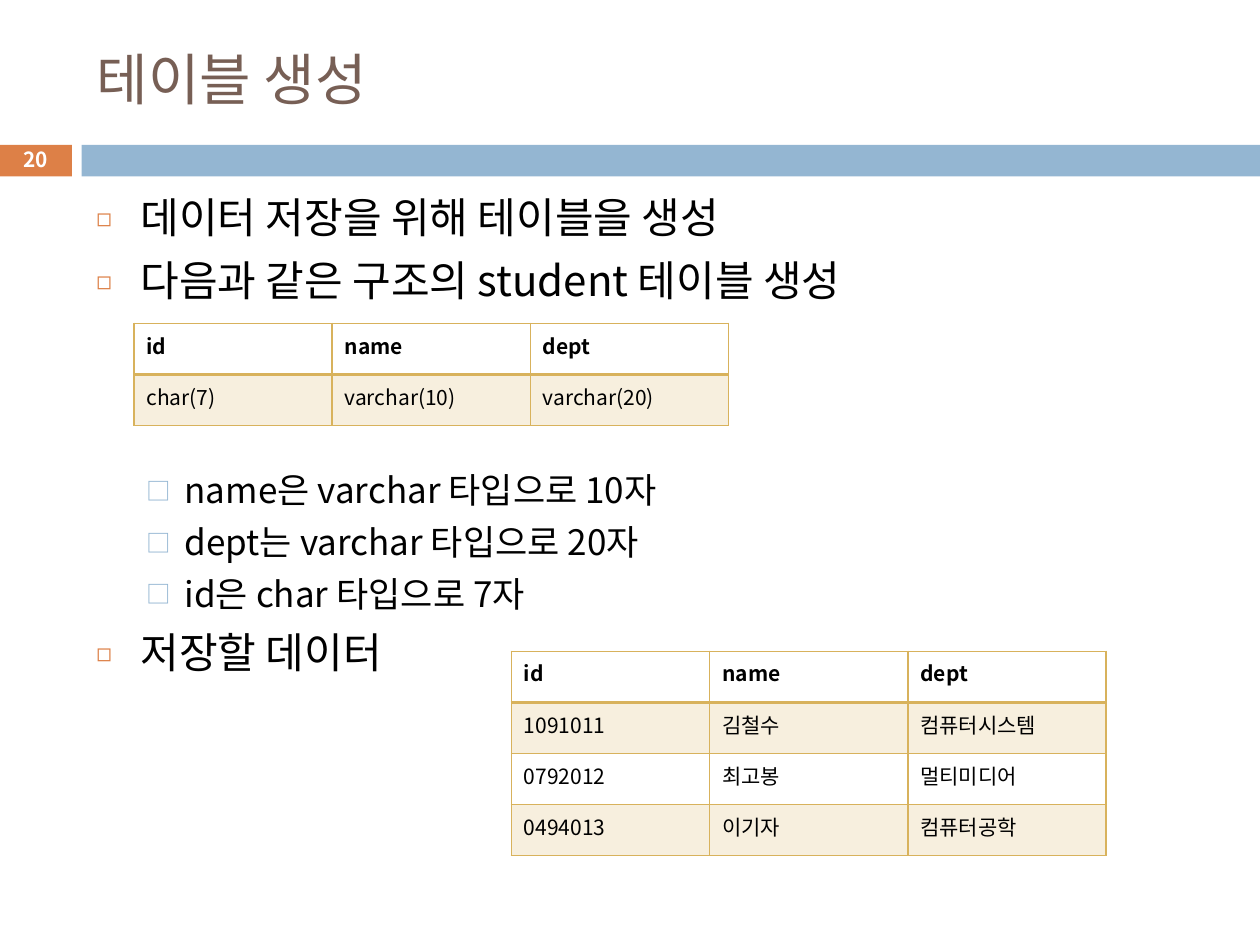
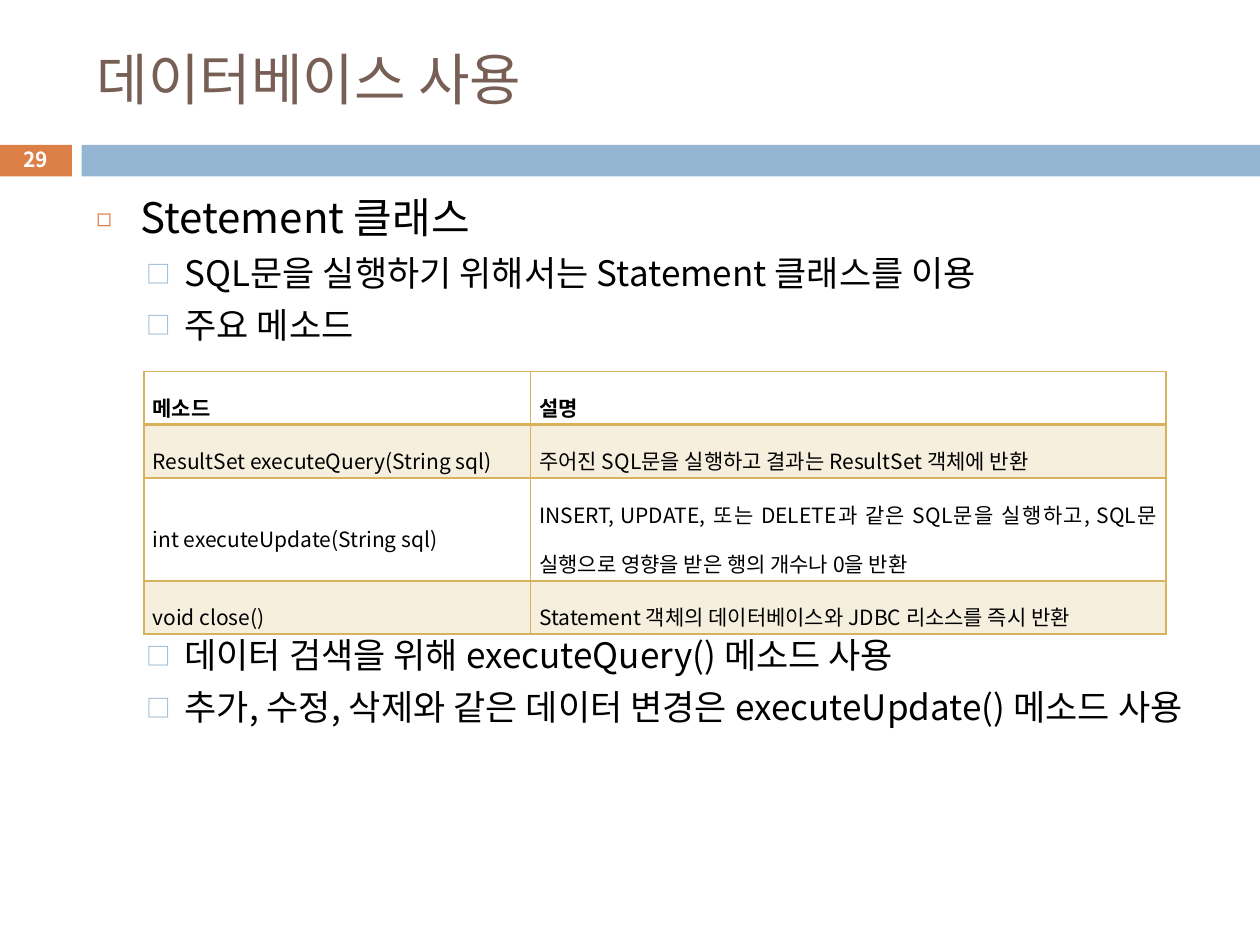
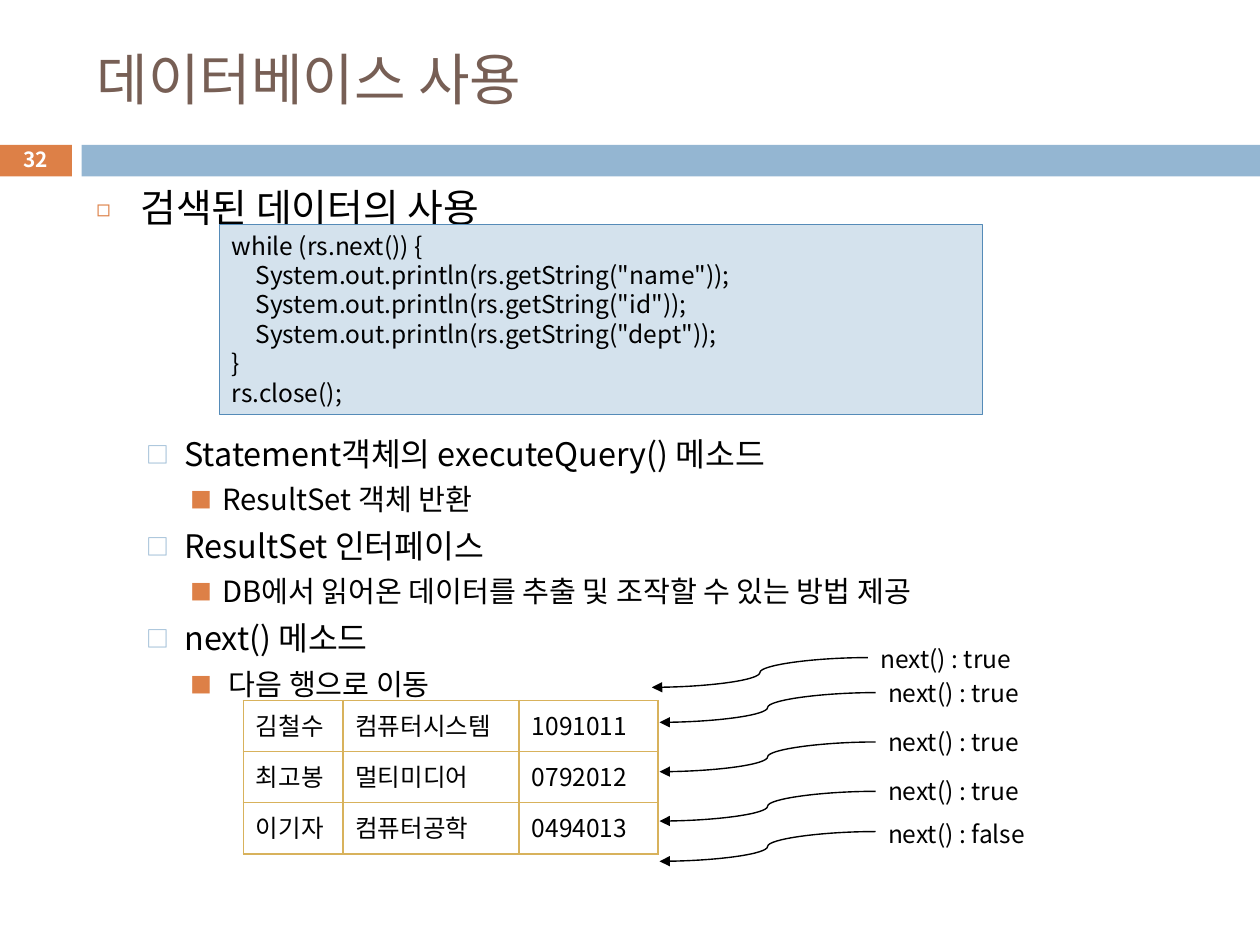
"""Build three lecture slides on creating and querying a database table."""
from dataclasses import dataclass

from lxml import etree
from pptx import Presentation
from pptx.dml.color import RGBColor
from pptx.enum.shapes import MSO_CONNECTOR, MSO_SHAPE
from pptx.enum.text import MSO_ANCHOR, MSO_AUTO_SIZE, PP_ALIGN
from pptx.oxml.ns import qn
from pptx.util import Pt

CURVE = MSO_CONNECTOR.CURVE
RECTANGLE = MSO_SHAPE.RECTANGLE
TOP, MIDDLE = MSO_ANCHOR.TOP, MSO_ANCHOR.MIDDLE
NO_AUTOFIT = MSO_AUTO_SIZE.NONE
LEFT, CENTER, JUSTIFY = PP_ALIGN.LEFT, PP_ALIGN.CENTER, PP_ALIGN.JUSTIFY
TITLE_ONLY = 5


@dataclass(frozen=True)
class Level:
    """Look of one outline level."""
    size: float
    margin: float
    hanging: float
    before: float
    bullet: str
    bullet_color: str
    bullet_percent: int


@dataclass(frozen=True)
class Theme:
    """Colours, font and type sizes of the deck."""
    font: str = "Noto Sans CJK KR"
    ink: str = "000000"
    white: str = "FFFFFF"
    brown: str = "775F55"
    orange: str = "DD8047"
    blue: str = "94B6D2"
    gold: str = "D8B25C"
    code_fill: str = "D4E2ED"
    code_line: str = "558BB8"
    title_size: float = 32
    number_size: float = 11.9
    table_size: float = 12
    code_size: float = 14
    line_factor: float = 1.2
    levels: tuple = (
        Level(24, 25.2, 25.2, 7, "◻", orange, 60),
        Level(20, 50.4, 21.6, 5.5, "□", blue, 70),
        Level(18, 72, 18, 5, "■", orange, 75),
    )


def points(*lengths):
    """Turn numbers into point lengths."""
    return [Pt(length) for length in lengths]


def add_xml(parent, tag, **attributes):
    """Append a drawing element and return it."""
    values = {key: str(value) for key, value in attributes.items()}
    return etree.SubElement(parent, qn(tag), values)


class Deck:
    """Holds the theme, the presentation and the current slide."""

    def __init__(self, theme):
        """Start an empty 10 by 7.5 inch presentation."""
        self.theme = theme
        self.presentation = Presentation()
        self.presentation.slide_width, self.presentation.slide_height = points(720, 540)
        self.slide = None

    def run(self, paragraph, text, size, color=None, bold=False):
        """Add one formatted run."""
        run = paragraph.add_run()
        run.text = text
        run.font.size = Pt(size)
        run.font.bold = bold
        run.font.color.rgb = RGBColor.from_string(color or self.theme.ink)
        run.font.name = self.theme.font
        add_xml(run.font._element, "a:ea", typeface=self.theme.font)

    def rectangle(self, box, fill, line=None):
        """Add a flat rectangle."""
        shape = self.slide.shapes.add_shape(RECTANGLE, *points(*box))
        shape.shadow.inherit = False
        shape.fill.solid()
        shape.fill.fore_color.rgb = RGBColor.from_string(fill)
        if line:
            shape.line.color.rgb = RGBColor.from_string(line)
            shape.line.width = Pt(0.75)
        else:
            shape.line.fill.background()
        return shape

    def text_frame(self, box, anchor=TOP):
        """Add a wrapping text box and return its frame."""
        frame = self.slide.shapes.add_textbox(*points(*box)).text_frame
        frame.word_wrap = True
        frame.vertical_anchor = anchor
        return frame

    def paragraphs(self, frame, count):
        """Return the given number of paragraphs of a new frame."""
        return [frame.paragraphs[0]] + [frame.add_paragraph() for _ in range(count - 1)]

    def page(self, title, number):
        """Start a slide with its title, bands and page number."""
        theme = self.theme
        self.slide = self.presentation.slides.add_slide(
            self.presentation.slide_layouts[TITLE_ONLY])
        self.rectangle((-0.7, 82.8, 41.8, 18), theme.orange)
        self.rectangle((46.6, 82.8, 673.4, 18), theme.blue)
        heading = self.slide.shapes.title
        heading.left, heading.top, heading.width, heading.height = points(48, 18, 642, 53.5)
        heading.text_frame.auto_size = NO_AUTOFIT
        heading.text_frame.vertical_anchor = MIDDLE
        paragraph = heading.text_frame.paragraphs[0]
        paragraph.alignment = LEFT
        self.run(paragraph, title, theme.title_size, theme.brown)
        paragraph = self.text_frame((-0.7, 81.4, 41.8, 19.4), MIDDLE).paragraphs[0]
        paragraph.alignment = CENTER
        self.run(paragraph, str(number), theme.number_size, theme.white, True)

    def outline(self, box, items, scale=1):
        """Add bulleted items given as level, text and optional space before."""
        frame = self.text_frame(box)
        for paragraph, (depth, text, *gap) in zip(
                self.paragraphs(frame, len(items)), items):
            level = self.theme.levels[depth]
            size = round(level.size * scale, 1)
            paragraph.level = depth
            paragraph.line_spacing = Pt(size * self.theme.line_factor)
            paragraph.space_before = Pt(gap[0] if gap else level.before)
            properties = paragraph._p.get_or_add_pPr()
            properties.set("marL", str(Pt(level.margin)))
            properties.set("indent", str(-Pt(level.hanging)))
            color = add_xml(properties, "a:buClr")
            add_xml(color, "a:srgbClr", val=level.bullet_color)
            add_xml(properties, "a:buSzPct", val=level.bullet_percent * 1000)
            add_xml(properties, "a:buFont", typeface=self.theme.font)
            add_xml(properties, "a:buChar", char=level.bullet)
            self.run(paragraph, text, size)

    def border(self, cell, heavy_edge):
        """Draw gold cell borders with one optional heavy edge."""
        properties = cell._tc.get_or_add_tcPr()
        for place, edge in enumerate(("L", "R", "T", "B")):
            width = Pt(2 if edge == heavy_edge else 1)
            line = add_xml(properties, f"a:ln{edge}", w=width)
            add_xml(add_xml(line, "a:solidFill"), "a:srgbClr", val=self.theme.gold)
            properties.insert(place, line)

    def table(self, origin, widths, heights, rows, header=True, size=None, spacing=None):
        """Add a gold ruled table, banded below a bold header."""
        theme = self.theme
        frame = self.slide.shapes.add_table(
            len(rows), len(widths), *points(*origin, sum(widths), sum(heights)))
        table = frame.table
        table.first_row = header
        table.horz_banding = False
        for column, width in zip(table.columns, widths):
            column.width = Pt(width)
        for row, height in zip(table.rows, heights):
            row.height = Pt(height)
        for row_index, row in enumerate(rows):
            for column_index, text in enumerate(row):
                cell = table.cell(row_index, column_index)
                paragraph = cell.text_frame.paragraphs[0]
                if spacing:
                    paragraph.alignment = JUSTIFY
                    paragraph.line_spacing = spacing
                    cell.vertical_anchor = MIDDLE
                    cell.margin_left, cell.margin_right = points(5, 5)
                    cell.margin_top, cell.margin_bottom = points(1.4, 1.4)
                self.run(paragraph, text, size or theme.table_size,
                         bold=header and row_index == 0)
                if header and row_index % 2:
                    cell.fill.solid()
                    cell.fill.fore_color.rgb = RGBColor.from_string(theme.gold)
                    color = cell._tc.tcPr.find(f"{qn('a:solidFill')}/{qn('a:srgbClr')}")
                    add_xml(color, "a:alpha", val=20000)
                else:
                    cell.fill.background()
                self.border(cell, {0: "B", 1: "T"}.get(row_index) if header else None)

    def code(self, box, lines):
        """Add a code panel from pairs of indent depth and text."""
        theme = self.theme
        frame = self.rectangle(box, theme.code_fill, theme.code_line).text_frame
        frame.word_wrap = True
        frame.vertical_anchor = TOP
        for paragraph, (depth, text) in zip(self.paragraphs(frame, len(lines)), lines):
            paragraph.alignment = LEFT
            paragraph.line_spacing = Pt(theme.code_size * theme.line_factor)
            paragraph._p.get_or_add_pPr().set("marL", str(Pt(13.7 * depth)))
            self.run(paragraph, text, theme.code_size)

    def pointer(self, left, arrow_top, label_top, text):
        """Add a label with a curved arrow leading from it to the left."""
        theme = self.theme
        arrow = self.slide.shapes.add_connector(
            CURVE, *points(left, arrow_top, left - 123.5, arrow_top + 17))
        arrow.line.color.rgb = RGBColor.from_string(theme.ink)
        arrow.line.width = Pt(0.79)
        add_xml(arrow.get_or_add_ln(), "a:tailEnd", type="triangle")
        add_xml(arrow._element.spPr, "a:effectLst")
        paragraph = self.text_frame((left, label_top, 97, 24.2)).paragraphs[0]
        paragraph.line_spacing = Pt(theme.code_size * theme.line_factor)
        self.run(paragraph, text, theme.code_size)


def table_creation(deck):
    """Slide on the student table and its data."""
    deck.page("테이블 생성", 20)
    deck.outline((48, 105.8, 642, 396.7), [
        (0, "데이터 저장을 위해 테이블을 생성"),
        (0, "다음과 같은 구조의 student 테이블 생성"),
        (1, "name은 varchar 타입으로 10자", 94),
        (1, "dept는 varchar 타입으로 20자"),
        (1, "id은 char 타입으로 7자"),
        (0, "저장할 데이터"),
    ])
    fields = ("id", "name", "dept")
    students = [
        fields,
        ("1091011", "김철수", "컴퓨터시스템"),
        ("0792012", "최고봉", "멀티미디어"),
        ("0494013", "이기자", "컴퓨터공학"),
    ]
    structure = [fields, ("char(7)", "varchar(10)", "varchar(20)")]
    for origin, rows in (((292.2, 372.2), students), ((76.5, 184.8), structure)):
        deck.table(origin, [113.3] * 3, [29.2] * len(rows), rows)


def statement_class(deck):
    """Slide on the Statement class and its methods."""
    deck.page("데이터베이스 사용", 29)
    deck.outline((48, 105.8, 642, 396.7), [
        (0, "Stetement 클래스"),
        (1, "SQL문을 실행하기 위해서는 Statement 클래스를 이용"),
        (1, "주요 메소드"),
        (1, "데이터 검색을 위해 executeQuery() 메소드 사용", 165),
        (1, "추가, 수정, 삭제와 같은 데이터 변경은 executeUpdate() 메소드 사용"),
    ])
    deck.table((82.2, 212.4), (221, 363), (30.4, 30.4, 58.8, 30.4), [
        ("메소드", "설명"),
        ("ResultSet executeQuery(String sql)",
         "주어진 SQL문을 실행하고 결과는 ResultSet 객체에 반환"),
        ("int executeUpdate(String sql)",
         "INSERT, UPDATE, 또는 DELETE과 같은 SQL문을 실행하고, "
         "SQL문 실행으로 영향을 받은 행의 개수나 0을 반환"),
        ("void close()", "Statement 객체의 데이터베이스와 JDBC 리소스를 즉시 반환"),
    ], spacing=1.6)


def result_reading(deck):
    """Slide on reading rows from a ResultSet."""
    deck.page("데이터베이스 사용", 32)
    deck.outline((48, 101.5, 657.4, 292.3), [
        (0, "검색된 데이터의 사용"),
        (1, "Statement객체의 executeQuery() 메소드", 116.3),
        (2, "ResultSet 객체 반환"),
        (1, "ResultSet 인터페이스"),
        (2, "DB에서 읽어온 데이터를 추출 및 조작할 수 있는 방법 제공"),
        (1, "next() 메소드"),
        (2, " 다음 행으로 이동"),
    ], scale=0.925)
    prints = [(1, f'System.out.println(rs.getString("{field}"));')
              for field in ("name", "id", "dept")]
    deck.code((125.3, 128.2, 436.3, 108.7), [
        (0, "while (rs.next()) {"), *prints, (0, "}"), (0, "rs.close();")])
    deck.table((139, 400.3), (56.9, 100.8, 79.2), [29.2] * 3, [
        ("김철수", "컴퓨터시스템", "1091011"),
        ("최고봉", "멀티미디어", "0792012"),
        ("이기자", "컴퓨터공학", "0494013"),
    ], header=False, size=deck.theme.code_size)
    deck.pointer(496, 375.8, 364.3, "next() : true")
    for step in range(3):
        deck.pointer(500.4, 395.8 + 28.2 * step, 383.8 + 28.1 * step, "next() : true")
    deck.pointer(500.4, 475.2, 464.4, "next() : false")


def main():
    """Build and save the deck."""
    deck = Deck(Theme())
    table_creation(deck)
    statement_class(deck)
    result_reading(deck)
    deck.presentation.save("out.pptx")


if __name__ == "__main__":
    main()
